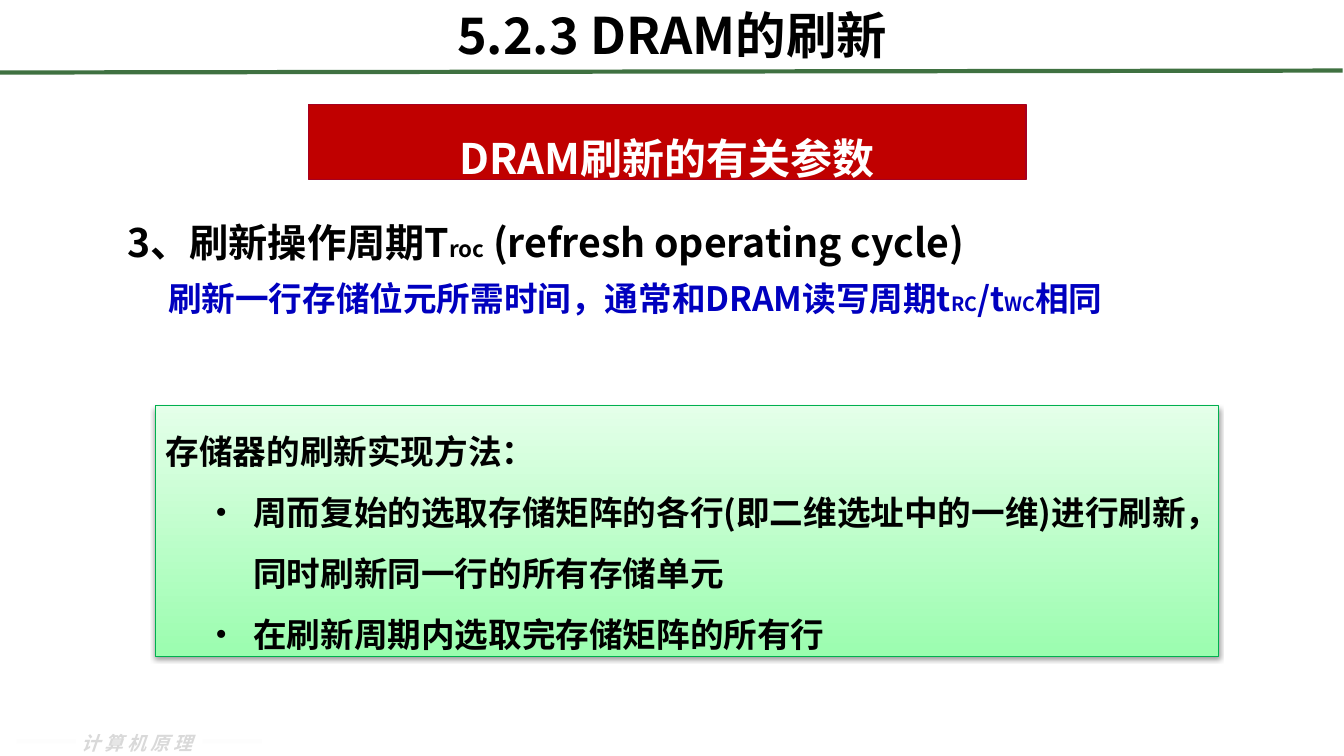
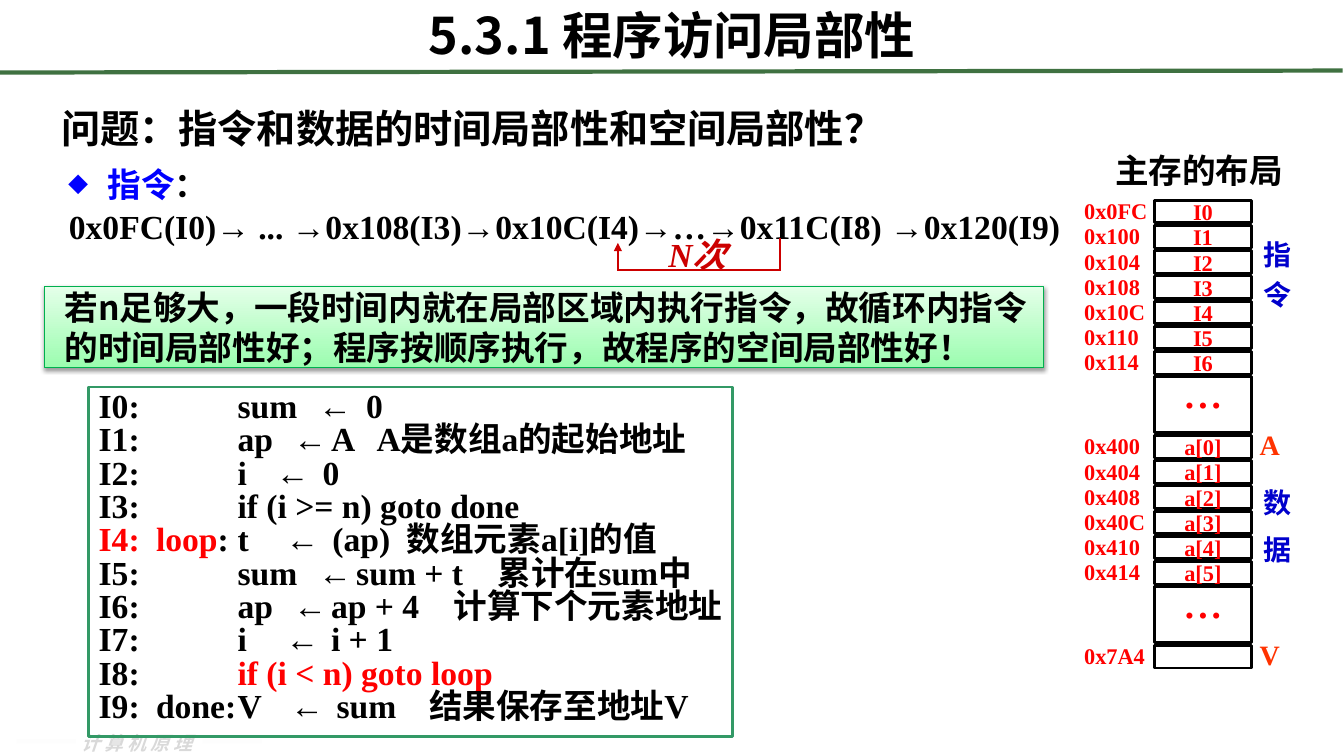
import dataclasses

import pptx
import pptx.dml.color
import pptx.enum.shapes
import pptx.enum.text
import pptx.oxml
import pptx.oxml.ns
import pptx.util
from lxml import etree

Pt = pptx.util.Pt
RGBColor = pptx.dml.color.RGBColor
Align = pptx.enum.text.PP_ALIGN
Anchor = pptx.enum.text.MSO_ANCHOR
qn = pptx.oxml.ns.qn

SANS = "Noto Sans CJK SC"
SERIF = "Times New Roman"

BLACK = RGBColor(0x00, 0x00, 0x00)
WHITE = RGBColor(0xFF, 0xFF, 0xFF)
RULE_GREEN = RGBColor(0x3F, 0x71, 0x41)
FOOTER_GREY = RGBColor(0xD9, 0xD9, 0xD9)
FOOTER_DASH = RGBColor(0xFD, 0xFD, 0xFD)
BANNER = RGBColor(0xC0, 0x00, 0x00)
BANNER_EDGE = RGBColor(0xA5, 0x00, 0x21)
PANEL_TOP = RGBColor(0xE4, 0xFF, 0xE9)
PANEL_BOTTOM = RGBColor(0x9B, 0xFD, 0xAF)
PANEL_EDGE = RGBColor(0x00, 0xB0, 0x4E)
CODE_EDGE = RGBColor(0x33, 0x99, 0x66)
NAVY = RGBColor(0x00, 0x00, 0xBF)
BLUE = RGBColor(0x00, 0x00, 0xFF)
SIDE_BLUE = RGBColor(0x00, 0x00, 0xCC)
RED = RGBColor(0xFF, 0x00, 0x00)
LOOP_RED = RGBColor(0xCC, 0x00, 0x00)
ORANGE = RGBColor(0xFF, 0x33, 0x00)


@dataclasses.dataclass
class Span:
    text: str
    size: float = 24
    colour: RGBColor = BLACK
    font: str = SANS
    italic: bool = False
    tracking: float = 0


@dataclasses.dataclass
class Bullet:
    sign: str
    font: str
    percent: int


DOT = Bullet("•", SERIF, 100)
DIAMOND = Bullet("◆", SANS, 60)


def add_child(parent, tag, **attributes):
    child = etree.SubElement(parent, qn(tag))
    for name, value in attributes.items():
        child.set(name, str(value))
    return child


class Pages:
    """The deck style and the page being filled."""

    def __init__(self):
        self.deck = pptx.Presentation()
        self.deck.slide_width = Pt(960)
        self.deck.slide_height = Pt(540)
        self.page = None

    def new_page(self, title):
        self.page = self.deck.slides.add_slide(self.deck.slide_layouts[6])
        # Footer
        footer = self.text_box(51, 519, 106, 24)
        self.para(footer, [Span("计算机原理", 13.5, FOOTER_GREY, italic=True, tracking=3)])
        for left in (12, 145):
            self.rect(left, 528, 42, 3, FOOTER_DASH)
        # Title and rule
        self.line(0, 51.8, 959, 50.4, RULE_GREEN, 3)
        self.para(self.text_box(48, -0.5, 864, 61), [Span(title, 36)], Align.CENTER)

    def frame(self, box, anchor, margins, wrap):
        frame = box.text_frame
        frame.word_wrap = wrap
        frame.vertical_anchor = anchor
        (frame.margin_left, frame.margin_top,
         frame.margin_right, frame.margin_bottom) = [Pt(m) for m in margins]
        return frame

    def text_box(self, left, top, width, height, anchor=Anchor.TOP,
                 margins=(7.2, 3.6, 7.2, 3.6), wrap=True):
        box = self.page.shapes.add_textbox(Pt(left), Pt(top), Pt(width), Pt(height))
        return self.frame(box, anchor, margins, wrap)

    def label(self, centre_x, centre_y, span):
        frame = self.text_box(centre_x - 60, centre_y - 15, 120, 30,
                              Anchor.MIDDLE, (0, 0, 0, 0), False)
        self.para(frame, [span], Align.CENTER)

    def rect(self, left, top, width, height, fill=None, edge=None, weight=0.75):
        box = self.page.shapes.add_shape(pptx.enum.shapes.MSO_SHAPE.RECTANGLE,
                                         Pt(left), Pt(top), Pt(width), Pt(height))
        box.shadow.inherit = False
        if fill is None:
            box.fill.background()
        else:
            box.fill.solid()
            box.fill.fore_color.rgb = fill
        if edge is None:
            box.line.fill.background()
        else:
            box.line.color.rgb = edge
            box.line.width = Pt(weight)
        return box

    def panel(self, left, top, width, height, anchor, margins):
        """Green gradient box with a soft shadow."""
        box = self.rect(left, top, width, height, PANEL_TOP, PANEL_EDGE)
        box.fill.gradient()
        box.fill.gradient_angle = 270
        for stop, colour, place in zip(box.fill.gradient_stops,
                                       (PANEL_TOP, PANEL_BOTTOM), (0, 1)):
            stop.color.rgb = colour
            stop.position = place
        effects = box.element.spPr.find(qn("a:effectLst"))
        shadow = add_child(effects, "a:outerShdw", blurRad=Pt(3.1), dist=Pt(1.6),
                           dir=5400000, rotWithShape=0)
        add_child(add_child(shadow, "a:srgbClr", val="000000"), "a:alpha", val=38000)
        return self.frame(box, anchor, margins, True)

    def line(self, x1, y1, x2, y2, colour, weight, arrow=False):
        line = self.page.shapes.add_connector(pptx.enum.shapes.MSO_CONNECTOR.STRAIGHT,
                                              Pt(x1), Pt(y1), Pt(x2), Pt(y2))
        line.line.color.rgb = colour
        line.line.width = Pt(weight)
        if arrow:
            add_child(line.element.spPr.find(qn("a:ln")), "a:tailEnd", type="triangle")
        add_child(line.element.spPr, "a:effectLst")

    def para(self, frame, spans, align=Align.LEFT, spacing=1.0, before=0, after=0,
             left=0, first=0, bullet=None, stops=()):
        para = frame.paragraphs[0]
        if para.runs:
            para = frame.add_paragraph()
        para.alignment = align
        para.line_spacing = spacing
        para.space_before = Pt(before)
        para.space_after = Pt(after)
        properties = para._p.get_or_add_pPr()
        # An explicit zero indent would cancel the tab stops
        if left:
            properties.set("marL", str(Pt(left)))
            properties.set("indent", str(Pt(first)))
        if bullet:
            add_child(properties, "a:buSzPct", val=bullet.percent * 1000)
            add_child(properties, "a:buFont", typeface=bullet.font)
            add_child(properties, "a:buChar", char=bullet.sign)
        if stops:
            tabs = add_child(properties, "a:tabLst")
            for stop in stops:
                add_child(tabs, "a:tab", pos=Pt(stop), algn="l")
        for span in spans:
            run = para.add_run()
            run.text = span.text
            run.font.size = Pt(span.size)
            run.font.bold = True
            run.font.italic = span.italic
            run.font.color.rgb = span.colour
            run.font.name = span.font
            run_properties = run._r.get_or_add_rPr()
            add_child(run_properties, "a:ea", typeface=SANS)
            if span.tracking:
                run_properties.set("spc", str(int(span.tracking * 100)))


def refresh_page(pages):
    pages.new_page("5.2.3 DRAM的刷新")

    # Refresh cycle definition
    body = pages.text_box(48, 145.7, 892, 124)
    pages.para(body, [Span("3、刷新操作周期T", 28), Span("roc", 16),
                      Span(" (refresh operating cycle)", 28)], spacing=1.2, left=36)
    pages.para(body, [Span(text, size, NAVY) for text, size in (
        ("刷新一行存储位元所需时间，通常和DRAM读写周期t", 24), ("RC", 14),
        ("/t", 24), ("WC", 14), ("相同", 24))], spacing=1.2, before=3, left=65)

    # Banner
    banner = pages.rect(220.3, 74.9, 512.6, 53.3, BANNER, BANNER_EDGE)
    frame = pages.frame(banner, Anchor.MIDDLE, (7.2, 3.6, 7.2, 3.6), True)
    pages.para(frame, [Span("DRAM刷新的有关参数", 30, WHITE)], Align.CENTER, 1.6)

    # Method panel
    method = pages.panel(111.3, 289.8, 758.9, 179.3, Anchor.TOP, (7.2, 3.6, 7.2, 3.6))
    pages.para(method, [Span("存储器的刷新实现方法：")], spacing=1.5)
    for text in ("周而复始的选取存储矩阵的各行(即二维选址中的一维)进行刷新，同时刷新同一行的所有存储单元",
                 "在刷新周期内选取完存储矩阵的所有行"):
        pages.para(method, [Span(text)], spacing=1.5, before=0.7,
                   left=62.6, first=-27, bullet=DOT)


def draw_memory(pages):
    pages.label(856.5, 121.7, Span("主存的布局"))
    dots = ("", "•\u00a0•\u00a0•", "")
    rows = [(f"0x{0xFC + 4 * i:03X}", f"I{i}", "") for i in range(7)]
    rows.append(dots)
    rows += [(f"0x{0x400 + 4 * i:X}", f"a[{i}]", "" if i else "A") for i in range(6)]
    rows += [dots, ("0x7A4", "", "V")]
    top = 143.2
    for row in rows:
        address, value, marker = row
        height = 40 if row == dots else 16
        cell = pages.rect(824.4, top, 69.8, height, WHITE, BLACK, 2)
        if value:
            frame = pages.frame(cell, Anchor.MIDDLE, (0, 0, 0, 0), False)
            pages.para(frame, [Span(value, 16, RED, SERIF)], Align.CENTER)
        if address:
            frame = pages.text_box(774.4, top - 0.7, 50, height,
                                   Anchor.MIDDLE, (0, 0, 0, 0), False)
            pages.para(frame, [Span(address, 16, RED, SERIF)])
        if marker:
            pages.label(907, top + height / 2 - 1.5, Span(marker, 20, ORANGE, SERIF))
        top += height + 2
    for character, centre in (("指", 181.5), ("令", 210.5), ("数", 358.5), ("据", 392.5)):
        pages.label(912.5, centre, Span(character, 20, SIDE_BLUE))


def draw_code(pages):
    # Each cell is its tab stop and its text; a third item is a colour.
    tag, code = 41, 99.2
    listing = [
        [(0, "I0:"), (code, "sum"), (157, "←"), (191, "0")],
        [(0, "I1:"), (code, "ap"), (139, "←"), (166, "A"), (198.5, "A是数组a的起始地址")],
        [(0, "I2:"), (code, "i"), (126.5, "←"), (160, "0")],
        [(0, "I3:"), (code, "if (i >= n) goto done")],
        [(0, "I4:", RED), (tag, "loop", RED), (None, ":"), (code, "t"), (133.5, "←"),
         (167, "(ap)"), (220, "数组元素a[i]的值")],
        [(0, "I5:"), (code, "sum"), (157, "←"), (184, "sum + t"), (285, "累计在sum中")],
        [(0, "I6:"), (code, "ap"), (139, "←"), (166, "ap + 4"), (253.5, "计算下个元素地址")],
        [(0, "I7:"), (code, "i"), (133.5, "←"), (166, "i + 1")],
        [(0, "I8:"), (code, "if (i < n) goto loop", RED)],
        [(0, "I9:"), (tag, "done:"), (code, "V"), (137, "←"), (170, "sum"),
         (236, "结果保存至地址V")],
    ]
    box = pages.rect(63.4, 276.5, 460, 249.8, None, CODE_EDGE, 2)
    frame = pages.frame(box, Anchor.TOP, (7.2, 3.6, 7.2, 3.6), True)
    for cells in listing:
        spans = [Span(("\t" if stop else "") + text, 24, colour[0] if colour else BLACK, SERIF)
                 for stop, text, *colour in cells]
        pages.para(frame, spans, spacing=Pt(23.8), stops=[cell[0] for cell in cells if cell[0]])


def locality_page(pages):
    pages.new_page("5.3.1 程序访问局部性")

    # Question and instruction trace
    body = pages.text_box(36.7, 70.6, 767.5, 134)
    pages.para(body, [Span("问题：指令和数据的时间局部性和空间局部性？", 28)], after=9.3)
    pages.para(body, [Span("指令", 24, BLUE), Span("：")],
               left=33, first=-28, bullet=DIAMOND)
    pages.para(body, [Span("0x0FC(I0)→ ... →0x108(I3)→0x10C(I4)→…→0x11C(I8) →0x120(I9)",
                           font=SERIF)], before=1.2, left=5.4)

    # Loop arrow
    pages.line(557.3, 170, 557.3, 193, LOOP_RED, 1.5)
    pages.line(441, 193, 558, 193, LOOP_RED, 1.5)
    pages.line(441.4, 193, 441.4, 173.5, LOOP_RED, 1.5, arrow=True)
    times = pages.text_box(477.4, 167.3, 55, 29, margins=(0, 0, 0, 0), wrap=False)
    pages.para(times, [Span("N次", 24, LOOP_RED, SERIF, italic=True)])

    # Conclusion panel
    panel = pages.panel(31.7, 204.5, 713.5, 58.3, Anchor.MIDDLE, (14.4, 0, 8.6, 0))
    pages.para(panel, [Span("若n足够大，一段时间内就在局部区域内执行指令，故循环内指令的时间局部性好；"
                            "程序按顺序执行，故程序的空间局部性好！")])

    draw_memory(pages)
    draw_code(pages)


def main():
    pages = Pages()
    refresh_page(pages)
    locality_page(pages)
    pages.deck.save("out.pptx")


if __name__ == "__main__":
    main()
